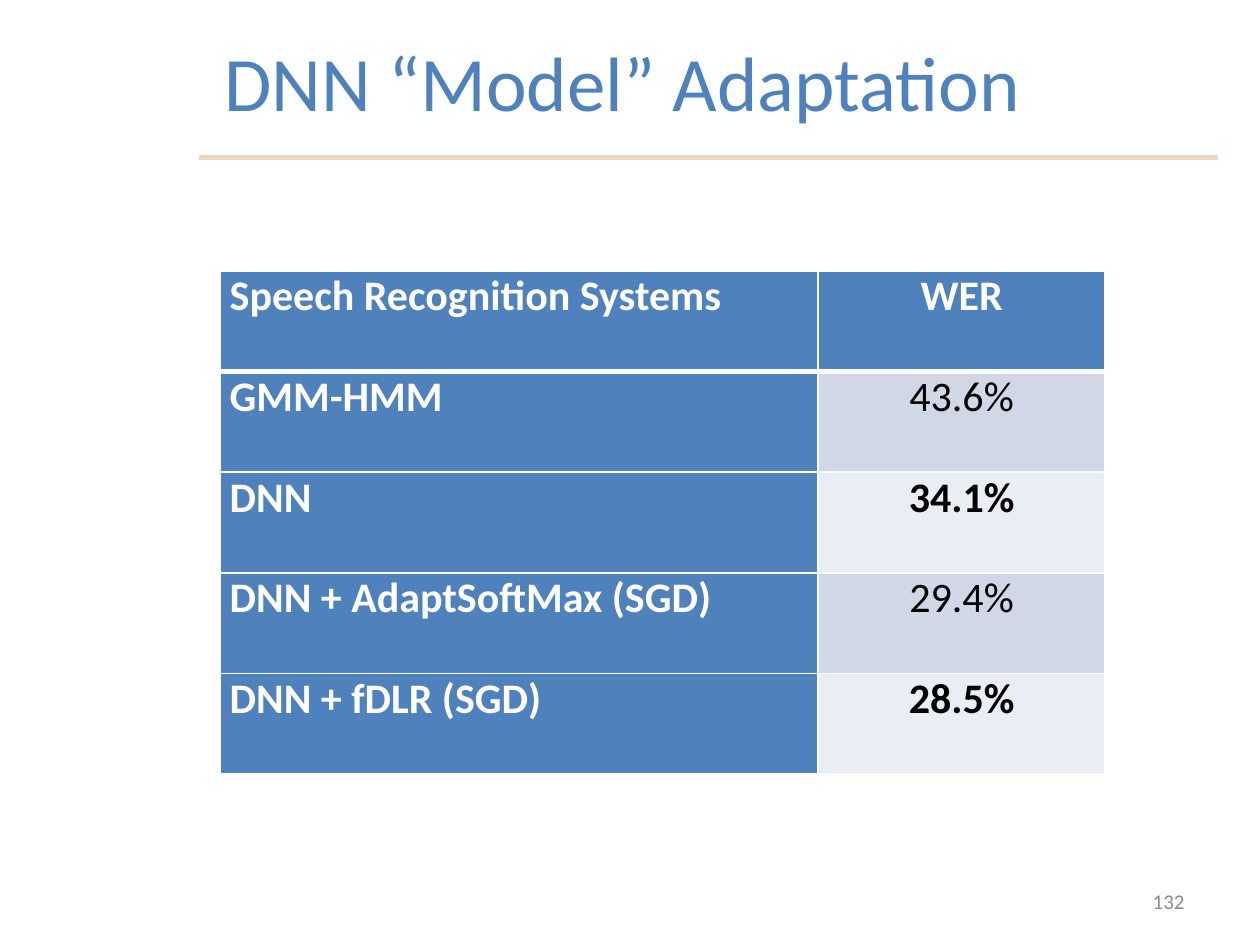
from lxml import etree
from pptx import Presentation
from pptx.dml.color import RGBColor
from pptx.enum.shapes import MSO_CONNECTOR
from pptx.enum.text import MSO_ANCHOR, PP_ALIGN
from pptx.oxml.ns import qn
from pptx.util import Cm, Pt

STRAIGHT = MSO_CONNECTOR.STRAIGHT
MIDDLE, TOP = MSO_ANCHOR.MIDDLE, MSO_ANCHOR.TOP
LEFT, CENTER, RIGHT = PP_ALIGN.LEFT, PP_ALIGN.CENTER, PP_ALIGN.RIGHT
FONT = "Calibri"
TITLE_ONLY = 5
COLORS = {
    "blue": "4F81BD",
    "rule": "ECD5C2",
    "gray": "8C8C8C",
    "white": "FFFFFF",
    "black": "000000",
    "dark_band": "D0D8E8",
    "light_band": "E9EDF4",
}
RESULTS = [
    ("Speech Recognition Systems", "WER"),
    ("GMM-HMM", "43.6%"),
    ("DNN", "34.1%"),
    ("DNN + AdaptSoftMax (SGD)", "29.4%"),
    ("DNN + fDLR (SGD)", "28.5%"),
]
COLUMN_WIDTHS = (12.04, 5.79)
ROW_HEIGHT = 2.03


def rgb(name):
    return RGBColor.from_string(COLORS[name])


def write(frame, text, size, color, align, bold=False):
    para = frame.paragraphs[0]
    para.alignment = align
    span = para.add_run()
    span.text = text
    span.font.name = FONT
    span.font.size = Pt(size)
    span.font.bold = bold
    span.font.color.rgb = rgb(color)


def add_rule(page):
    rule = page.shapes.add_connector(STRAIGHT, Cm(4.01), Cm(3.17), Cm(24.56), Cm(3.17))
    rule.line.color.rgb = rgb("rule")
    rule.line.width = Pt(3)
    etree.SubElement(rule._element.spPr, qn("a:effectLst"))


def add_title(page, text):
    title = page.shapes.title
    title.left, title.top = Cm(-0.1), Cm(0.05)
    title.width, title.height = Cm(25.3), Cm(3.17)
    title.text_frame.vertical_anchor = MIDDLE
    write(title.text_frame, text, 44, "blue", CENTER)


def add_page_number(page, text):
    box = page.shapes.add_textbox(Cm(18.21), Cm(17.65), Cm(5.92), Cm(1.02))
    box.text_frame.word_wrap = True
    box.text_frame.vertical_anchor = MIDDLE
    write(box.text_frame, text, 12, "gray", RIGHT)


def add_borders(cell, bottom_width):
    properties = cell._tc.get_or_add_tcPr()
    widths = {"a:lnL": 1, "a:lnR": 1, "a:lnT": 1, "a:lnB": bottom_width}
    for tag, width in widths.items():
        line = etree.SubElement(properties, qn(tag), w=str(Pt(width)))
        fill = etree.SubElement(line, qn("a:solidFill"))
        etree.SubElement(fill, qn("a:srgbClr"), val=COLORS["white"])


def fill_cell(cell, text, row, column):
    is_header = row == 0
    is_label = is_header or column == 0
    band = "dark_band" if row % 2 else "light_band"
    cell.margin_left = cell.margin_right = Cm(0.18)
    cell.margin_top = cell.margin_bottom = Cm(0)
    cell.vertical_anchor = TOP
    add_borders(cell, 3 if is_header else 1)
    cell.fill.solid()
    cell.fill.fore_color.rgb = rgb("blue" if is_label else band)
    write(
        cell.text_frame,
        text,
        24,
        "white" if is_label else "black",
        CENTER if column else LEFT,
        is_label or row % 2 == 0,
    )


def add_results(page):
    frame = page.shapes.add_table(
        len(RESULTS), len(COLUMN_WIDTHS), Cm(4.45), Cm(5.46),
        Cm(sum(COLUMN_WIDTHS)), Cm(ROW_HEIGHT * len(RESULTS)),
    )
    table = frame.table
    table.first_col = True
    for column, width in enumerate(COLUMN_WIDTHS):
        table.columns[column].width = Cm(width)
    for row, texts in enumerate(RESULTS):
        table.rows[row].height = Cm(ROW_HEIGHT)
        for column, text in enumerate(texts):
            fill_cell(table.cell(row, column), text, row, column)


def main():
    deck = Presentation()
    deck.slide_width, deck.slide_height = Cm(25.4), Cm(19.05)
    page = deck.slides.add_slide(deck.slide_layouts[TITLE_ONLY])
    add_rule(page)
    add_title(page, "DNN “Model” Adaptation")
    add_page_number(page, "132")
    add_results(page)
    deck.save("out.pptx")


if __name__ == "__main__":
    main()
